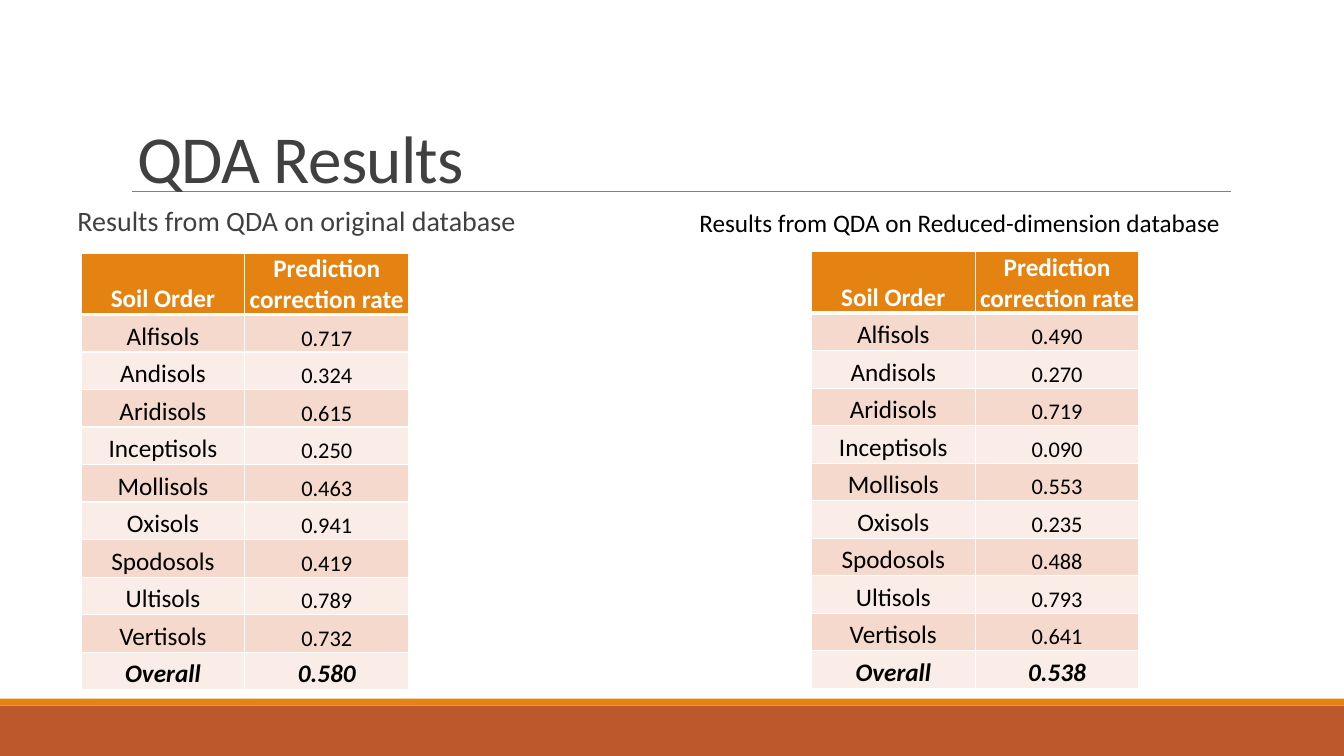
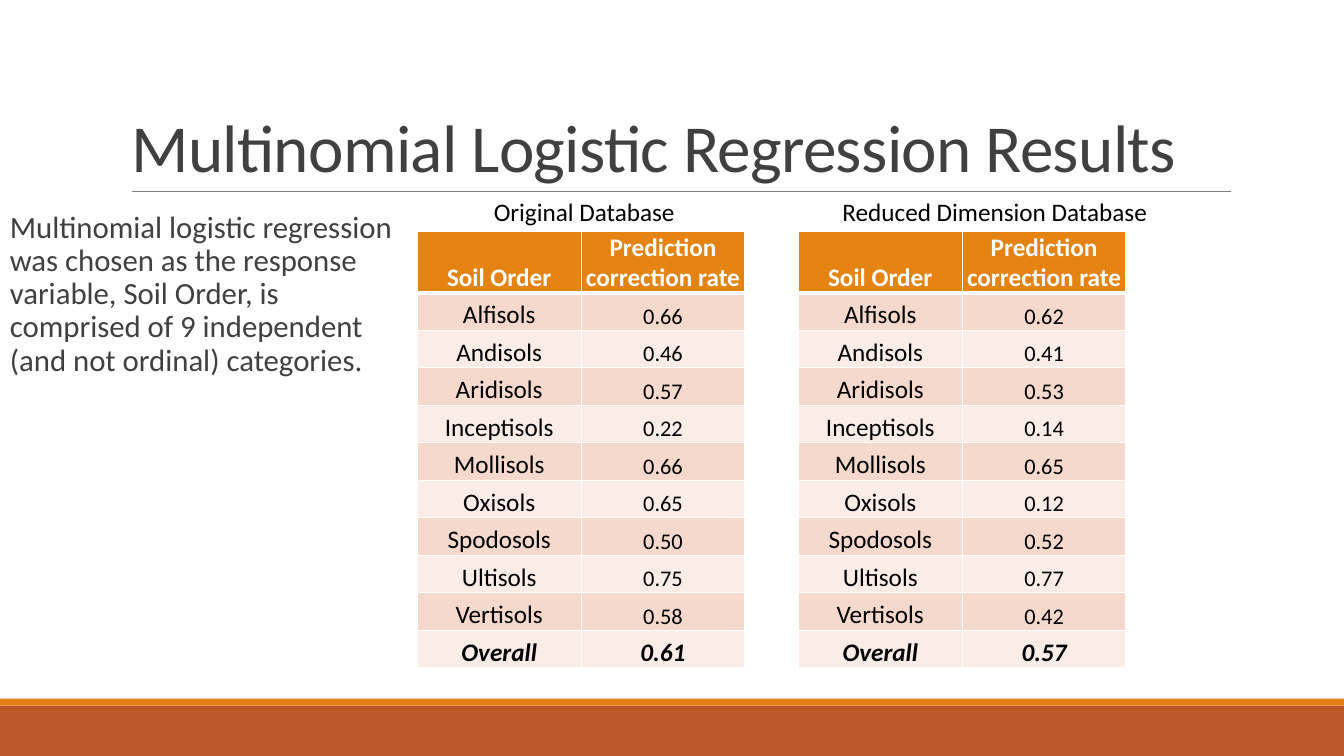
from dataclasses import dataclass

from lxml import etree
from pptx import Presentation
from pptx.dml.color import RGBColor
from pptx.enum import shapes, text
from pptx.oxml.ns import qn
from pptx.util import Pt


@dataclass(frozen=True)
class Theme:
    font: str = "Calibri"
    orange: str = "E48312"
    rust: str = "BD582C"
    rule: str = "808080"
    heading: str = "404040"
    black: str = "000000"
    white: str = "FFFFFF"
    bands: tuple = ("F5D9CC", "FAEDE7")
    title_size: int = 48
    label_size: int = 18
    value_size: int = 16


THEME = Theme()
WIDTH, HEIGHT = 960, 540
COLUMN_WIDTH, HEADER_HEIGHT, ROW_HEIGHT = 117, 44, 26.8
HEADERS = ("Soil Order", "Prediction correction rate")
ORDERS = ("Alfisols", "Andisols", "Aridisols", "Inceptisols", "Mollisols",
          "Oxisols", "Spodosols", "Ultisols", "Vertisols", "Overall")


def rgb(value):
    return RGBColor.from_string(value)


def points(*values):
    return [Pt(value) for value in values]


def apply_format(target, values):
    for name, value in values.items():
        setattr(target, name, value)


def write(frame, content, size, color, bold=False, italic=False, **paragraph_format):
    frame.text = content
    paragraph = frame.paragraphs[0]
    apply_format(paragraph, paragraph_format)
    font = paragraph.runs[0].font
    apply_format(font, {"name": THEME.font, "size": Pt(size),
                        "bold": bold, "italic": italic})
    font.color.rgb = rgb(color)


# Shared bands and title rule, placed on the layout
def add_layout_decor(layout, slide):
    decor = []
    for top, height, color in ((504, 36, THEME.rust), (499, 5, THEME.orange)):
        band = slide.shapes.add_shape(shapes.MSO_SHAPE.RECTANGLE,
                                      *points(0, top, WIDTH, height))
        band.shadow.inherit = False
        band.fill.solid()
        band.fill.fore_color.rgb = rgb(color)
        band.line.fill.background()
        decor.append(band)
    rule = slide.shapes.add_connector(shapes.MSO_CONNECTOR.STRAIGHT,
                                      *points(94.3, 136.8, 879.1, 136.8))
    rule.line.color.rgb = rgb(THEME.rule)
    rule.line.width = Pt(0.5)
    etree.SubElement(rule.element.spPr, qn("a:effectLst"))
    decor.append(rule)
    for number, shape in enumerate(decor, 101):
        next(shape.element.iter(qn("p:cNvPr"))).set("id", str(number))
        layout.shapes.element.append(shape.element)


# Title placeholder
def set_title(slide, content, left, top):
    title = slide.shapes.title
    apply_format(title, dict(zip(("left", "top", "width", "height"),
                                 points(left, top, 792, 114.5))))
    frame = title.text_frame
    write(frame, content, THEME.title_size, THEME.heading,
          alignment=text.PP_ALIGN.LEFT, line_spacing=0.85)
    apply_format(frame, {"word_wrap": True, "auto_size": text.MSO_AUTO_SIZE.NONE,
                         "vertical_anchor": text.MSO_ANCHOR.BOTTOM})
    for properties in title.element.iter(qn("a:rPr")):
        properties.set("spc", "-50")


# Body text
def add_body(slide, content, box, size):
    frame = slide.shapes.add_textbox(*points(*box)).text_frame
    apply_format(frame, {"word_wrap": True, "margin_right": 0})
    write(frame, content, size, THEME.heading, line_spacing=0.9)


# Caption of a table
def add_caption(slide, content, left, top, width):
    frame = slide.shapes.add_textbox(*points(left, top, width, 29)).text_frame
    apply_format(frame, {"word_wrap": False,
                         "auto_size": text.MSO_AUTO_SIZE.SHAPE_TO_FIT_TEXT})
    write(frame, content, THEME.label_size, THEME.black)


def set_borders(cell, **widths):
    properties = cell._tc.get_or_add_tcPr()
    for side in "LRTB":
        line = etree.SubElement(properties, qn(f"a:ln{side}"),
                                w=str(Pt(widths.get(side, 1))))
        fill = etree.SubElement(line, qn("a:solidFill"))
        etree.SubElement(fill, qn("a:srgbClr"), val=THEME.white)


# Table of rates by soil order
def add_rate_table(slide, rates, left, top):
    rows = [HEADERS, *zip(ORDERS, rates.split())]
    height = HEADER_HEIGHT + ROW_HEIGHT * len(ORDERS)
    table = slide.shapes.add_table(
        len(rows), 2, *points(left, top, 2 * COLUMN_WIDTH, height)).table
    for column in table.columns:
        column.width = Pt(COLUMN_WIDTH)
    for row_index, row in enumerate(rows):
        header, overall = row_index == 0, row_index == len(ORDERS)
        table.rows[row_index].height = Pt(HEADER_HEIGHT if header else ROW_HEIGHT)
        for column_index, content in enumerate(row):
            cell = table.cell(row_index, column_index)
            apply_format(cell, {"margin_left": Pt(0.7), "margin_right": Pt(0.7),
                                "margin_top": Pt(0.7), "margin_bottom": 0,
                                "vertical_anchor": text.MSO_ANCHOR.BOTTOM})
            set_borders(cell, B=3 if header else 1, T=3 if row_index == 1 else 1)
            cell.fill.solid()
            cell.fill.fore_color.rgb = rgb(
                THEME.orange if header else THEME.bands[(row_index - 1) % 2])
            plain_value = column_index == 1 and not (header or overall)
            write(cell.text_frame, content,
                  THEME.value_size if plain_value else THEME.label_size,
                  THEME.white if header else THEME.black,
                  bold=header or overall, italic=overall,
                  alignment=text.PP_ALIGN.CENTER)


def build_qda(slide):
    set_title(slide, "QDA Results", 90.7, 30.2)
    add_body(slide, "Results from QDA on original database", (48.2, 144.7, 400, 32), 20)
    add_rate_table(slide, "0.717 0.324 0.615 0.250 0.463 0.941 0.419 0.789 0.732 0.580",
                   57.9, 180.7)
    add_caption(slide, "Results from QDA on Reduced-dimension database", 492.5, 144.7, 391)
    add_rate_table(slide, "0.490 0.270 0.719 0.090 0.553 0.235 0.488 0.793 0.641 0.538",
                   579.6, 179.7)


def build_regression(slide):
    set_title(slide, "Multinomial Logistic Regression Results", 86.7, 22.3)
    add_body(slide, "Multinomial logistic regression was chosen as the response variable, "
             "Soil Order, is comprised of 9 independent (and not ordinal) categories.",
             (0, 147.6, 283, 137.5), 22)
    table_top = 165.2
    add_rate_table(slide, "0.66 0.46 0.57 0.22 0.66 0.65 0.50 0.75 0.58 0.61",
                   298.1, table_top)
    add_rate_table(slide, "0.62 0.41 0.53 0.14 0.65 0.12 0.52 0.77 0.42 0.57",
                   570.3, table_top)
    caption_top = 136.8
    add_caption(slide, "Original Database", 345.6, caption_top, 145.4)
    add_caption(slide, "Reduced Dimension Database", 594.7, caption_top, 234.7)


def main():
    presentation = Presentation()
    presentation.slide_width, presentation.slide_height = points(WIDTH, HEIGHT)
    layout = presentation.slide_layouts.get_by_name("Title Only")
    for index, build in enumerate((build_qda, build_regression)):
        slide = presentation.slides.add_slide(layout)
        if index == 0:
            add_layout_decor(layout, slide)
        build(slide)
    presentation.save("out.pptx")


if __name__ == "__main__":
    main()
